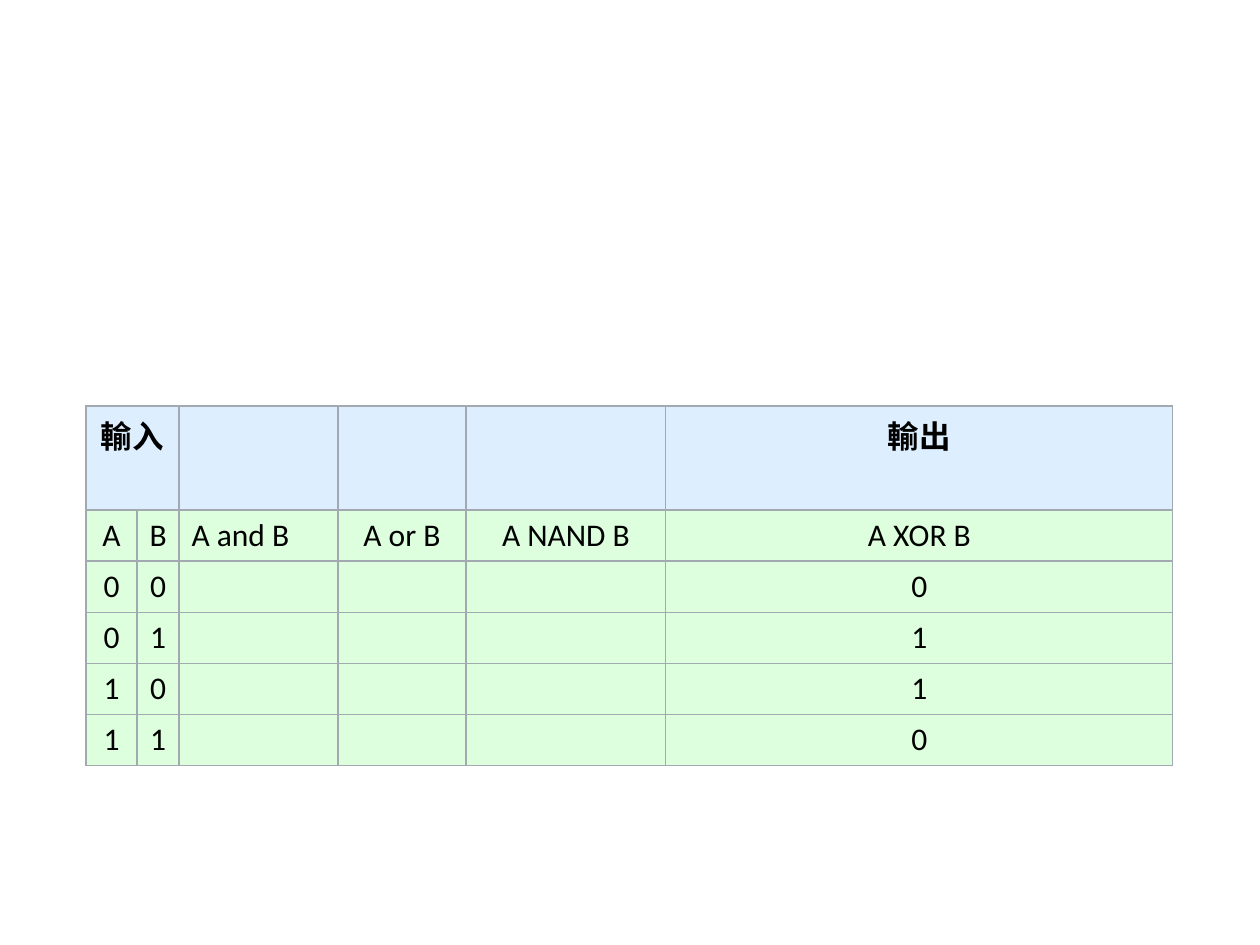
"""Build a slide with a truth table of logic gates."""
from lxml.etree import SubElement
from pptx import Presentation
from pptx.dml.color import RGBColor
from pptx.enum.text import MSO_ANCHOR, PP_ALIGN
from pptx.oxml.ns import qn
from pptx.util import Pt

HEADINGS = ["輸入\v", "", "", "", "", "輸出\v"]
GATES = ["A", "B", "A and B", "A or B", "A NAND B", "A XOR B"]
XOR_ROWS = [(0, 0, 0), (0, 1, 1), (1, 0, 1), (1, 1, 0)]
ROWS = [HEADINGS, GATES] + [
    [str(a), str(b), "", "", "", str(xor)] for a, b, xor in XOR_ROWS
]
COLUMN_WIDTHS = [51, 42, 159, 128, 200, 507]
ROW_HEIGHTS = [104] + [51] * 5
LEFT, TOP = 86, 406

BLACK = RGBColor(0x00, 0x00, 0x00)
HEADING_BLUE = RGBColor(0xDD, 0xEE, 0xFF)
BODY_GREEN = RGBColor(0xDD, 0xFF, 0xDD)
BORDER_GRAY = RGBColor(0xA2, 0xA9, 0xB1)


def px(length):
    return round(length * 914400 / 126)


def add_borders(cell):
    properties = cell._tc.get_or_add_tcPr()
    for position, side in enumerate(("lnL", "lnR", "lnT", "lnB")):
        line = SubElement(properties, qn(f"a:{side}"), w=str(Pt(0.75)))
        fill = SubElement(line, qn("a:solidFill"))
        SubElement(fill, qn("a:srgbClr"), val=str(BORDER_GRAY))
        properties.insert(position, line)


def fill_cell(cell, text, is_heading, is_left):
    cell.text = text
    cell.vertical_anchor = MSO_ANCHOR.MIDDLE
    cell.fill.solid()
    cell.fill.fore_color.rgb = HEADING_BLUE if is_heading else BODY_GREEN
    add_borders(cell)
    paragraph = cell.text_frame.paragraphs[0]
    paragraph.alignment = PP_ALIGN.LEFT if is_left else PP_ALIGN.CENTER
    font = paragraph.font
    font.name, font.size, font.bold = "Calibri", Pt(18), is_heading
    font.color.rgb = BLACK


def main():
    deck = Presentation()
    deck.slide_width, deck.slide_height = px(1260), px(945)
    slide = deck.slides.add_slide(deck.slide_layouts[6])
    table = slide.shapes.add_table(
        len(ROWS), len(COLUMN_WIDTHS), px(LEFT), px(TOP),
        px(sum(COLUMN_WIDTHS)), px(sum(ROW_HEIGHTS)),
    ).table
    table.horz_banding = False
    table.first_row = False
    for column, width in zip(table.columns, COLUMN_WIDTHS):
        column.width = px(width)
    for row, height in zip(table.rows, ROW_HEIGHTS):
        row.height = px(height)
    for r, texts in enumerate(ROWS):
        for c, text in enumerate(texts):
            fill_cell(table.cell(r, c), text, r == 0, text == "A and B")
    table.cell(0, 0).merge(table.cell(0, 1))
    deck.save("out.pptx")


if __name__ == "__main__":
    main()
